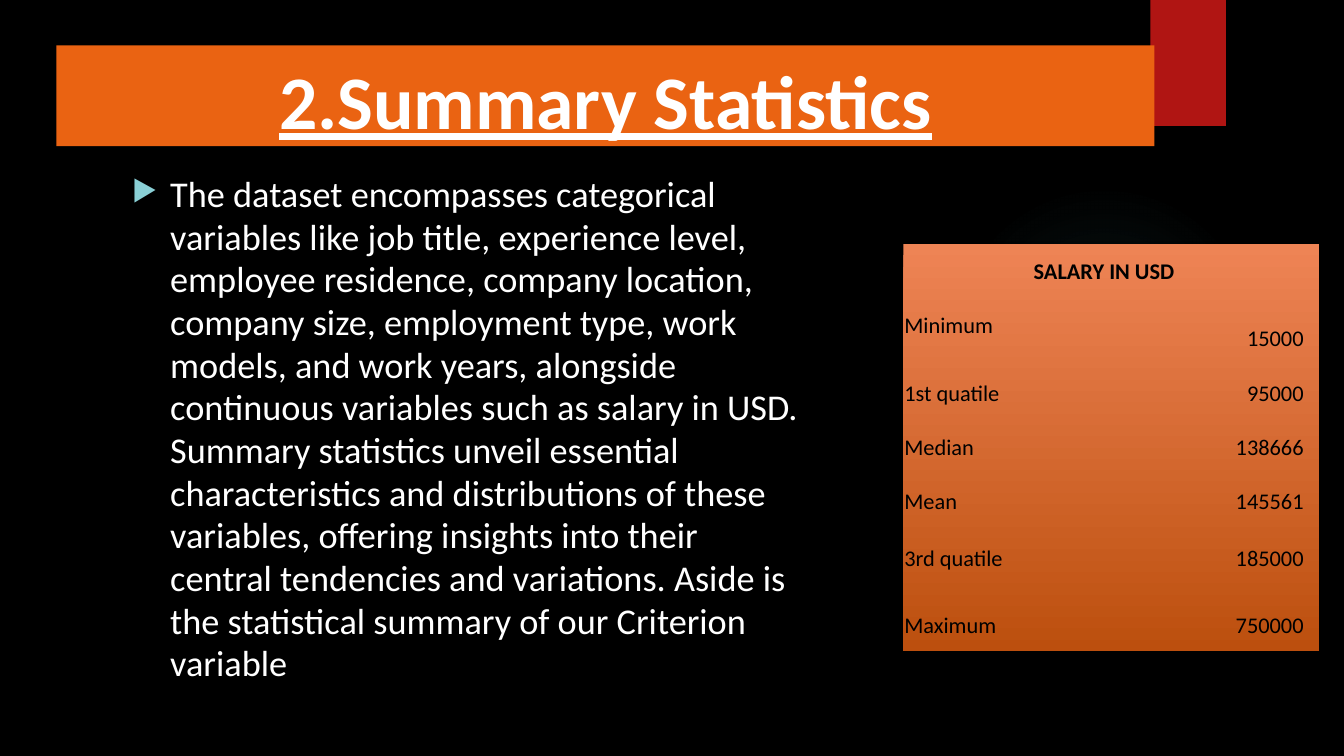
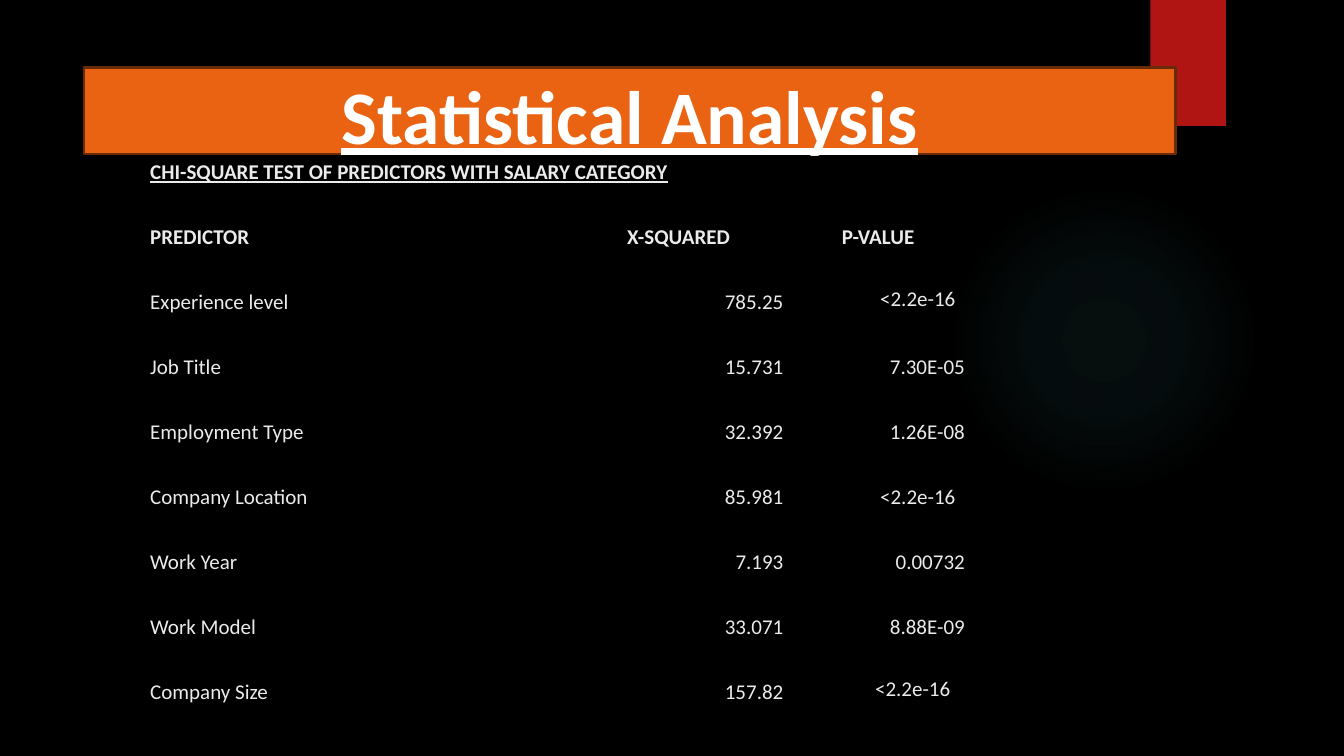
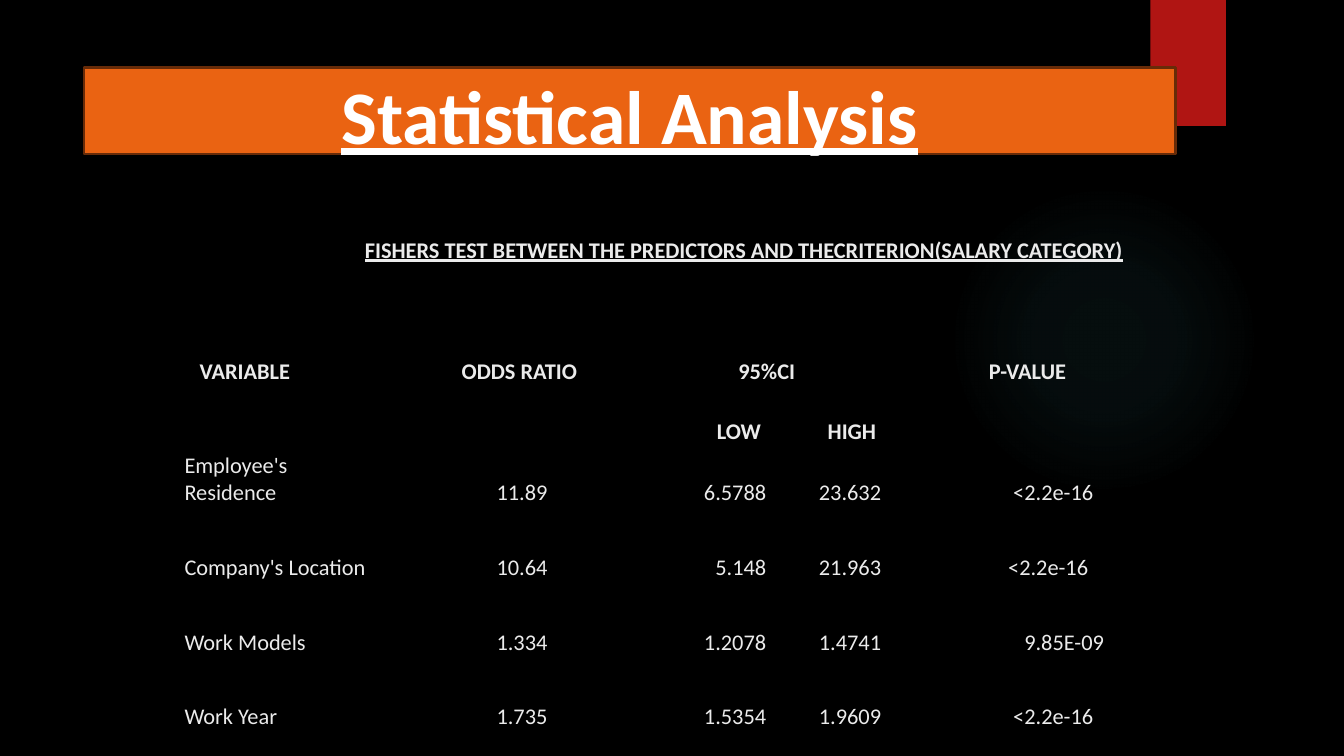
from dataclasses import dataclass

from pptx import Presentation
from pptx.dml.color import RGBColor
from pptx.enum.shapes import MSO_SHAPE as Shape
from pptx.enum.text import MSO_ANCHOR as Anchor, PP_ALIGN as Align
from pptx.oxml import parse_xml
from pptx.oxml.ns import nsdecls, qn
from pptx.util import Inches, Pt

BLACK = RGBColor(0x00, 0x00, 0x00)
WHITE = RGBColor(0xFF, 0xFF, 0xFF)
PALE = RGBColor(0xEB, 0xEB, 0xEB)
ORANGE = RGBColor(0xEA, 0x63, 0x12)
BROWN = RGBColor(0x67, 0x2B, 0x08)
RED = RGBColor(0xB0, 0x15, 0x13)
TEAL = RGBColor(0x50, 0xB9, 0xC1)
AQUA = RGBColor(0x8A, 0xD0, 0xD6)
PANEL_TOP = RGBColor(0xEE, 0x84, 0x55)
PANEL_BOTTOM = RGBColor(0xBC, 0x4F, 0x0E)
FONT = "Calibri"
PLAIN_TABLE = "{2D5ABB26-0587-4C30-8999-92F81FD0307C}"
ANALYSIS_BAND = (0.83, 0.67, 10.83, 0.86)

SUMMARY = (
    "The dataset encompasses categorical variables like job title, experience level, "
    "employee residence, company location, company size, employment type, work models, "
    "and work years, alongside continuous variables such as salary in USD. Summary "
    "statistics unveil essential characteristics and distributions of these variables, "
    "offering insights into their central tendencies and variations. Aside is the "
    "statistical summary of our Criterion variable"
)
SALARIES = [
    ("Minimum", "15000"), ("1st quatile", "95000"), ("Median", "138666"),
    ("Mean", "145561"), ("3rd quatile", "185000"), ("Maximum", "750000"),
]
CHI_SQUARE = [
    ("Experience level", "785.25", "<2.2e-16", 0.94, Anchor.MIDDLE),
    ("Job Title", "15.731", "7.30E-05", 0, Anchor.BOTTOM),
    ("Employment Type", "32.392", "1.26E-08", 0, Anchor.BOTTOM),
    ("Company Location", "85.981", "<2.2e-16", 0.94, Anchor.BOTTOM),
    ("Work Year", "7.193", "0.00732", 0, Anchor.BOTTOM),
    ("Work Model", "33.071", "8.88E-09", 0, Anchor.BOTTOM),
    ("Company Size", "157.82", "<2.2e-16", 0.89, Anchor.MIDDLE),
]
FISHER = [
    ("Employee's Residence", 1, "11.89", "6.5788", "23.632", "<2.2e-16", 0.34),
    ("Company's Location", 2, "10.64", "5.148", "21.963", "<2.2e-16", 0.29),
    ("Work Models", 2, "1.334", "1.2078", "1.4741", "9.85E-09", 0),
    ("Work Year", 1, "1.735", "1.5354", "1.9609", "<2.2e-16", 0.34),
]


@dataclass
class Entry:
    """Text of one table cell with its placing and emphasis."""

    text: str = ""
    align: Align = Align.LEFT
    indent: float = 0
    span: int = 1
    anchor: Anchor = Anchor.BOTTOM
    bold: bool = False
    underline: bool = False


def heading(text, **options):
    """Return a bold entry."""
    return Entry(text, bold=True, **options)


def number(text, indent=0, anchor=Anchor.BOTTOM):
    """Return a right-aligned entry, or a left-aligned one when indented."""
    return Entry(text, Align.LEFT if indent else Align.RIGHT, indent, anchor=anchor)


def style_font(para, size, color, bold=False, underline=False):
    """Set the font of a whole paragraph."""
    font = para.font
    font.name, font.size, font.bold, font.underline = FONT, Pt(size), bold, underline
    font.color.rgb = color


def add_block(page, box, kind=Shape.RECTANGLE, color=None):
    """Add a shape without line or shadow."""
    block = page.shapes.add_shape(kind, *map(Inches, box))
    block.shadow.inherit = False
    block.line.fill.background()
    if color is not None:
        block.fill.solid()
        block.fill.fore_color.rgb = color
    return block


def add_shadow(block, alpha, blur, distance):
    """Give a block a black shadow falling downwards."""
    block._element.spPr.find(qn("a:effectLst")).append(parse_xml(
        f'<a:outerShdw {nsdecls("a")} blurRad="{Pt(blur)}" dist="{Pt(distance)}" '
        f'dir="5400000" rotWithShape="0"><a:srgbClr val="{BLACK}">'
        f'<a:alpha val="{alpha * 1000}"/></a:srgbClr></a:outerShdw>'))


def add_glow(page, box):
    """Add the faint radial glow."""
    glow = add_block(page, box, Shape.OVAL)
    stops = "".join(
        f'<a:gs pos="{place * 1000}"><a:srgbClr val="{TEAL}">'
        f'<a:alpha val="{alpha * 1000}"/></a:srgbClr></a:gs>'
        for place, alpha in ((0, 7), (36, 6), (69, 0)))
    glow._element.spPr.find(qn("a:prstGeom")).addnext(parse_xml(
        f'<a:gradFill {nsdecls("a")}><a:gsLst>{stops}</a:gsLst><a:path path="circle">'
        '<a:fillToRect l="50000" t="50000" r="50000" b="50000"/></a:path></a:gradFill>'))


def add_page(deck):
    """Add a black page with the glow and the red tab."""
    page = deck.slides.add_slide(deck.slide_layouts[6])
    page.background.fill.solid()
    page.background.fill.fore_color.rgb = BLACK
    add_glow(page, (9.41, 1.83, 3.08, 3.08))
    add_shadow(add_block(page, (11.41, 0, 0.75, 1.25), color=RED), 45, 3, 2)
    return page


def add_title(page, box, text, outlined=True):
    """Add the orange title band."""
    band = add_block(page, box, color=ORANGE)
    if outlined:
        band.line.color.rgb = BROWN
        band.line.width = Pt(1.5)
    band.text_frame.vertical_anchor = Anchor.MIDDLE
    para = band.text_frame.paragraphs[0]
    para.text = text
    para.alignment = Align.CENTER
    para.line_spacing = 1.07
    para.space_after = Pt(8)
    style_font(para, 54, WHITE, bold=True, underline=True)


def add_bullet(page, box, text):
    """Add a text box holding one bulleted paragraph."""
    frame = page.shapes.add_textbox(*map(Inches, box)).text_frame
    frame.word_wrap = True
    para = frame.paragraphs[0]
    para.text = text
    para.line_spacing = 0.98
    style_font(para, 25.9, WHITE)
    props = para._p.get_or_add_pPr()
    props.set("marL", str(Inches(0.38)))
    props.set("indent", str(-Inches(0.38)))
    for mark in (f'<a:buClr {nsdecls("a")}><a:srgbClr val="{AQUA}"/></a:buClr>',
                 f'<a:buSzPct {nsdecls("a")} val="80000"/>',
                 f'<a:buChar {nsdecls("a")} char="▶"/>'):
        props.find(qn("a:defRPr")).addprevious(parse_xml(mark))


def fill_cell(cell, entry, size, color):
    """Write one entry into a cell without fill."""
    cell.fill.background()
    cell.margin_left = Inches(0.01 + entry.indent)
    cell.margin_right = cell.margin_top = Inches(0.01)
    cell.margin_bottom = 0
    cell.vertical_anchor = entry.anchor
    para = cell.text_frame.paragraphs[0]
    para.text = entry.text
    para.alignment = entry.align
    style_font(para, size, color, entry.bold, entry.underline)


def add_grid(page, corner, widths, heights, rows, size, color):
    """Add a plain table; each row maps a column to its entry."""
    box = (*corner, sum(widths), sum(heights))
    table = page.shapes.add_table(len(heights), len(widths), *map(Inches, box)).table
    table.first_row = table.horz_banding = False
    table._tbl.tblPr.find(qn("a:tableStyleId")).text = PLAIN_TABLE
    for column, width in zip(table.columns, widths):
        column.width = Inches(width)
    for y, (height, row) in enumerate(zip(heights, rows)):
        table.rows[y].height = Inches(height)
        for x in range(len(widths)):
            entry = row.get(x, Entry())
            fill_cell(table.cell(y, x), entry, size, color)
            if entry.span > 1:
                table.cell(y, x).merge(table.cell(y, x + entry.span - 1))


def spaced(rows):
    """Return the rows with an empty row between neighbours."""
    return [line for row in rows for line in (row, {})][:-1]


def add_salary_panel(page, box):
    """Add the salary table on its gradient panel."""
    panel = add_block(page, box)
    panel.fill.gradient()
    panel.fill.gradient_angle = 270
    for stop, place, color in zip(panel.fill.gradient_stops, (0, 1), (PANEL_TOP, PANEL_BOTTOM)):
        stop.position = place
        stop.color.rgb = color
    add_shadow(panel, 60, 5, 3)
    rows = [{0: heading("SALARY IN USD", align=Align.CENTER, span=2, anchor=Anchor.MIDDLE)}]
    rows += [{0: Entry(label), 1: number(value)} for label, value in SALARIES]
    rows[1][0].anchor = Anchor.MIDDLE
    add_grid(page, box[:2], [2.54, 1.44], [0.54] * 5 + [0.56, 0.67], rows, 16, BLACK)


def summary_page(deck):
    """Build the summary statistics page."""
    page = add_page(deck)
    add_bullet(page, (1.21, 1.67, 6.85, 5.17), SUMMARY)
    add_title(page, (0.56, 0.45, 10.89, 1), "2.Summary Statistics", outlined=False)
    add_salary_panel(page, (8.96, 2.42, 4.12, 4.04))


def chi_square_page(deck):
    """Build the chi-square test page."""
    page = add_page(deck)
    add_title(page, ANALYSIS_BAND, "Statistical Analysis")
    rows = [
        {0: heading("CHI-SQUARE TEST OF PREDICTORS WITH SALARY CATEGORY", span=7, underline=True)},
        {0: heading("PREDICTOR", span=2), 2: heading("X-SQUARED", indent=1.08),
         3: heading("P-VALUE", indent=0.56)},
    ]
    rows += [{0: Entry(label, span=2), 2: number(square), 3: number(chance, indent, anchor)}
             for label, square, chance, indent, anchor in CHI_SQUARE]
    rows = spaced(rows)
    add_grid(page, (1.48, 1.52), [1.21, 2.44, 2.65, 1.8] + [1.21] * 3,
             [5.48 / len(rows)] * len(rows), rows, 15, PALE)


def fisher_page(deck):
    """Build the Fisher test page."""
    page = add_page(deck)
    heads = [
        {0: heading("FISHERS TEST BETWEEN THE PREDICTORS AND THECRITERION(SALARY CATEGORY)",
                    align=Align.CENTER, span=10, underline=True)},
        {},
        {0: heading("VARIABLE"), 2: heading("ODDS RATIO", span=2),
         4: heading("95%CI", align=Align.CENTER, span=2), 7: heading("P-VALUE", indent=0.11)},
        {4: heading("LOW", indent=0.65), 5: heading("HIGH", indent=0.56)},
    ]
    add_grid(page, (1.97, 2.02), [1.67, 0.93, 0.95, 0.93, 1.19, 1.12, 0.93, 1.24, 0.93, 0.93],
             [0.6] * 4, heads, 16, PALE)
    add_title(page, ANALYSIS_BAND, "Statistical Analysis")
    rows = spaced([
        {0: Entry(label, span=span), 2: number(odds), 4: number(low), 5: number(high),
         7: number(chance, indent)}
        for label, span, odds, low, high, chance, indent in FISHER])
    add_grid(page, (1.82, 4.3), [1.7, 0.95, 0.97, 0.95, 1.22, 1.14, 0.95, 1.26],
             [0.73] + [0.37] * 6, rows, 16, PALE)


def main():
    """Build and save the deck."""
    deck = Presentation()
    deck.slide_width, deck.slide_height = Inches(13.33), Inches(7.5)
    for build in (summary_page, chi_square_page, fisher_page):
        build(deck)
    deck.save("out.pptx")


if __name__ == "__main__":
    main()
